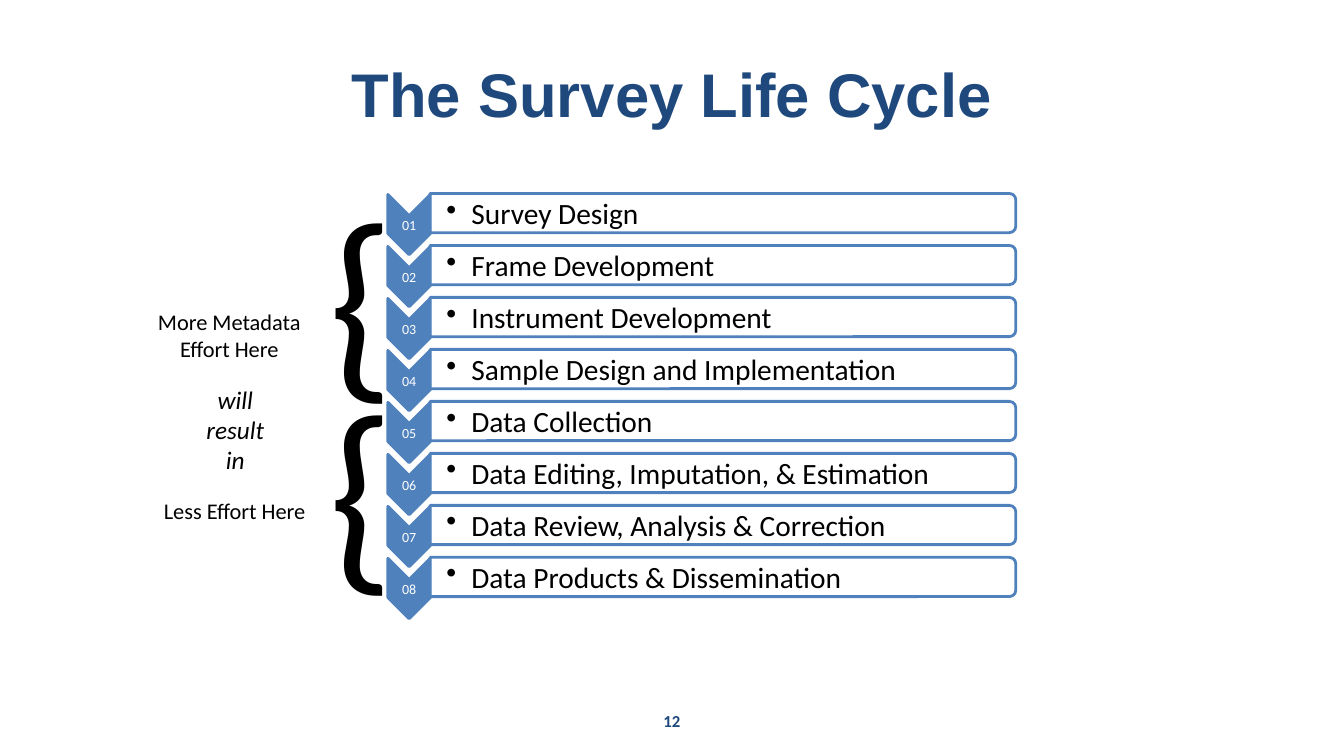
"""Build the survey life cycle slide: eight numbered stages and the effort braces beside them."""
from lxml import etree
from pptx import Presentation
from pptx import util as u
from pptx.dml.color import RGBColor
from pptx.enum import shapes, text
from pptx.oxml.ns import qn

COLORS = {"navy": "1F497D", "blue": "4F81BD", "white": "FFFFFF", "black": "000000"}
STAGES = [
    "Survey Design",
    "Frame Development",
    "Instrument Development",
    "Sample Design and Implementation",
    "Data Collection",
    "Data Editing, Imputation, & Estimation",
    "Data Review, Analysis & Correction",
    "Data Products & Dissemination",
]
STAGE_PITCH = 1.31
CHEVRON_X, CHEVRON_Y = 10.31, 5.66
BAR_X, BAR_Y, BAR_LENGTH = 18.22, 5.37, 14.76

presentation = Presentation()
presentation.slide_width, presentation.slide_height = u.Cm(33.87), u.Cm(19.05)
slide = presentation.slides.add_slide(presentation.slide_layouts[6])


def add_text(lines, left, top, width, height, size, color="black", font="Calibri", bold=False,
             italic=False, align=text.PP_ALIGN.CENTER, anchor=text.MSO_ANCHOR.TOP,
             inset=None, bullet=False):
    box = slide.shapes.add_textbox(u.Cm(left), u.Cm(top), u.Cm(width), u.Cm(height))
    frame = box.text_frame
    frame.word_wrap = True
    frame.vertical_anchor = anchor
    if inset is not None:
        frame.margin_left = u.Cm(inset)
        frame.margin_top = frame.margin_right = frame.margin_bottom = u.Cm(0.03)
    frame.text = "\n".join(lines)
    for paragraph in frame.paragraphs:
        paragraph.alignment = align
        if bullet:
            properties = paragraph._p.get_or_add_pPr()
            properties.set("marL", str(u.Cm(0.63)))
            properties.set("indent", str(-u.Cm(0.63)))
            etree.SubElement(properties, qn("a:buChar")).set("char", "•")
        paragraph.font.name = font
        paragraph.font.size = u.Pt(size)
        paragraph.font.bold, paragraph.font.italic = bold, italic
        paragraph.font.color.rgb = RGBColor.from_string(COLORS[color])
    return box


def add_turned_shape(kind, center_x, center_y, width, height, fill):
    shape = slide.shapes.add_shape(kind, u.Cm(center_x - width / 2), u.Cm(center_y - height / 2),
                                   u.Cm(width), u.Cm(height))
    shape.rotation = 90
    shape.shadow.inherit = False
    shape.fill.solid()
    shape.fill.fore_color.rgb = RGBColor.from_string(COLORS[fill])
    shape.line.color.rgb = RGBColor.from_string(COLORS["blue"])
    shape.line.width = u.Pt(2)
    return shape


add_text(["The Survey Life Cycle"], 1.7, 0.76, 30.48, 3.18, 44, "navy", "Arial", bold=True,
         anchor=text.MSO_ANCHOR.MIDDLE)

add_text(["More Metadata", "Effort Here"], 2.72, 7.65, 6.12, 1.63, 16)
add_text(["will", "result", "in"], 2.97, 9.55, 5.92, 2.57, 18, italic=True)
add_text(["Less Effort Here"], 3.25, 12.4, 5.33, 0.94, 16)

for brace_top in (5.11, 9.93):
    brace = add_text(["}"], 9.35, brace_top, 0.84, 6.68, 150, align=text.PP_ALIGN.LEFT)
    brace.rotation = 180
    brace.text_frame.auto_size = text.MSO_AUTO_SIZE.SHAPE_TO_FIT_TEXT

for index, stage in enumerate(STAGES):
    chevron_y = CHEVRON_Y + index * STAGE_PITCH
    bar_y = BAR_Y + index * STAGE_PITCH
    add_turned_shape(shapes.MSO_SHAPE.CHEVRON, CHEVRON_X, chevron_y, 1.52, 1.07, "blue")
    add_text([f"{index + 1:02d}"], CHEVRON_X - 0.53, chevron_y - 0.23, 1.06, 0.46, 10, "white",
             anchor=text.MSO_ANCHOR.MIDDLE, inset=0.03)
    bar = add_turned_shape(shapes.MSO_SHAPE.ROUND_2_SAME_RECTANGLE, BAR_X, bar_y,
                           0.99, BAR_LENGTH, "white")
    bar_color = bar.fill._xPr.find(qn("a:solidFill"))[0]
    etree.SubElement(bar_color, qn("a:alpha")).set("val", "90000")
    add_text([stage], BAR_X - BAR_LENGTH / 2, bar_y - 0.45, 14.71, 0.9, 21,
             align=text.PP_ALIGN.LEFT, anchor=text.MSO_ANCHOR.MIDDLE, inset=0.41, bullet=True)

add_text(["12"], 12.98, 17.65, 7.9, 1.02, 12, "navy", bold=True, anchor=text.MSO_ANCHOR.MIDDLE)

presentation.save("out.pptx")
